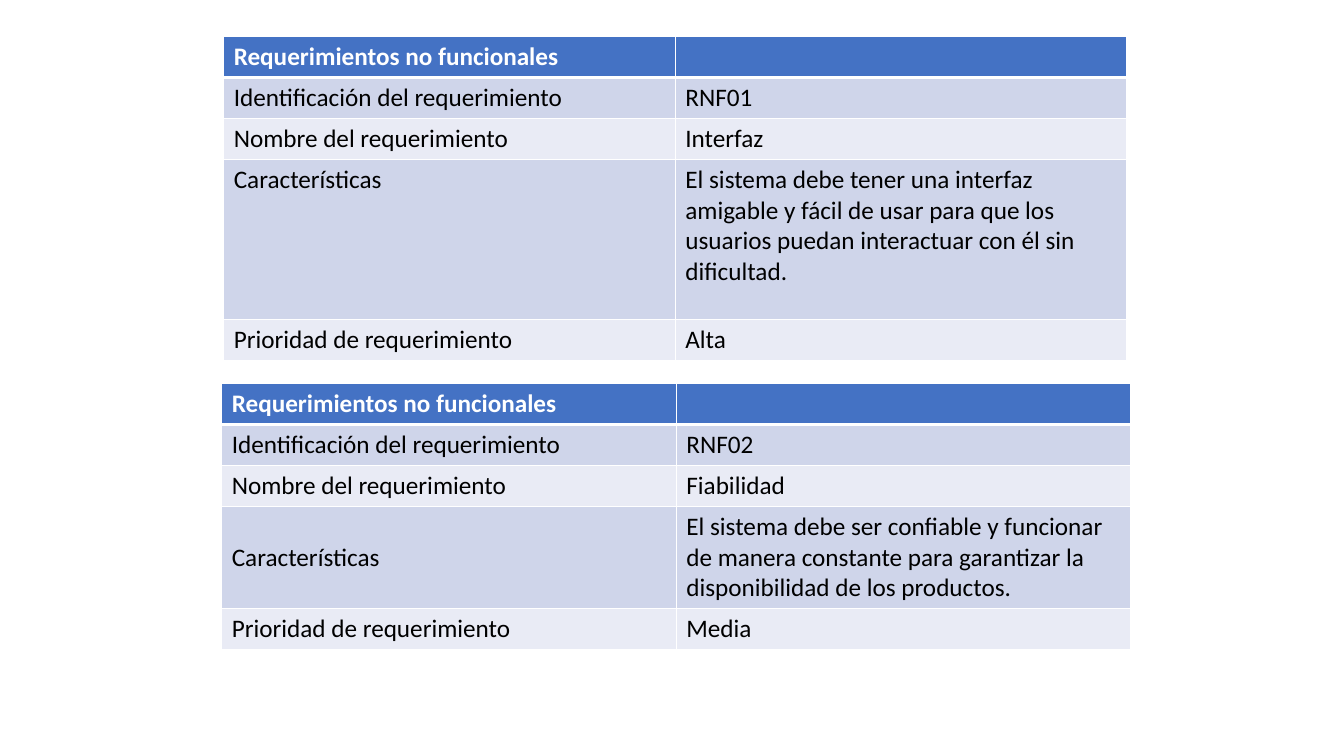
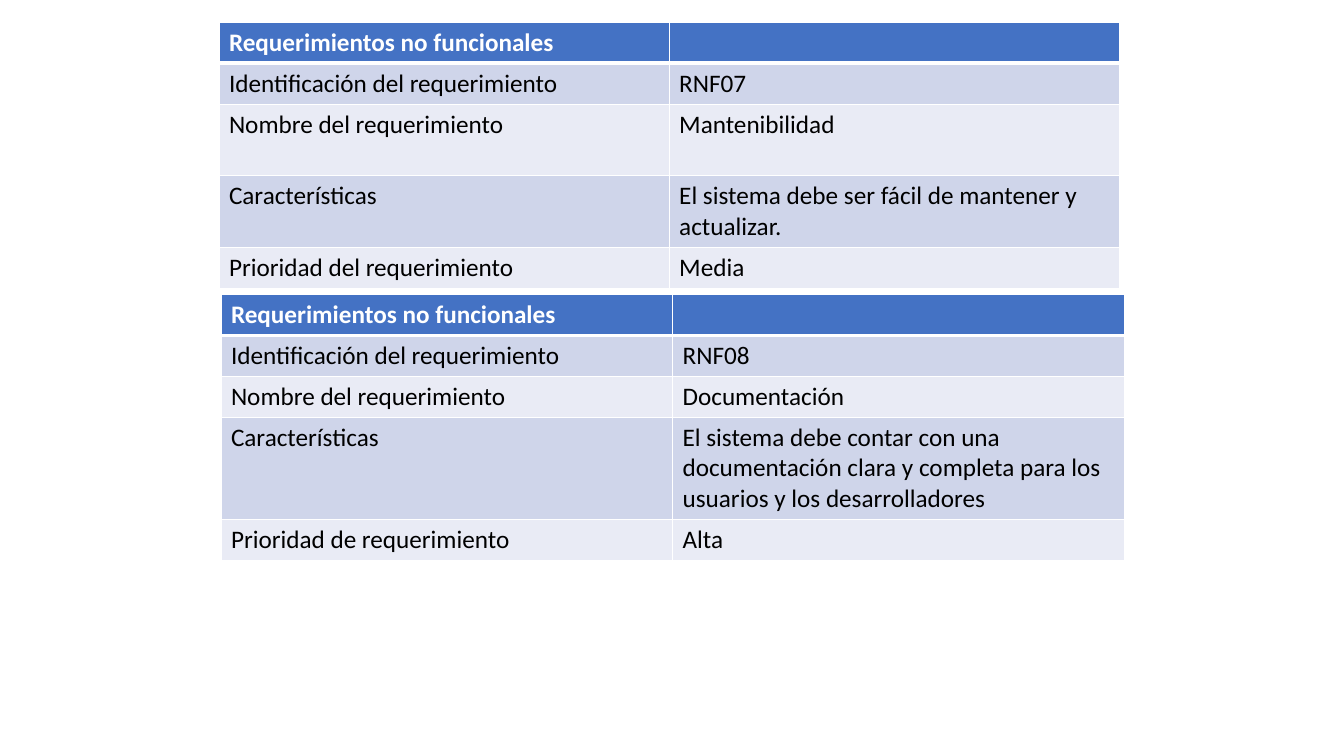
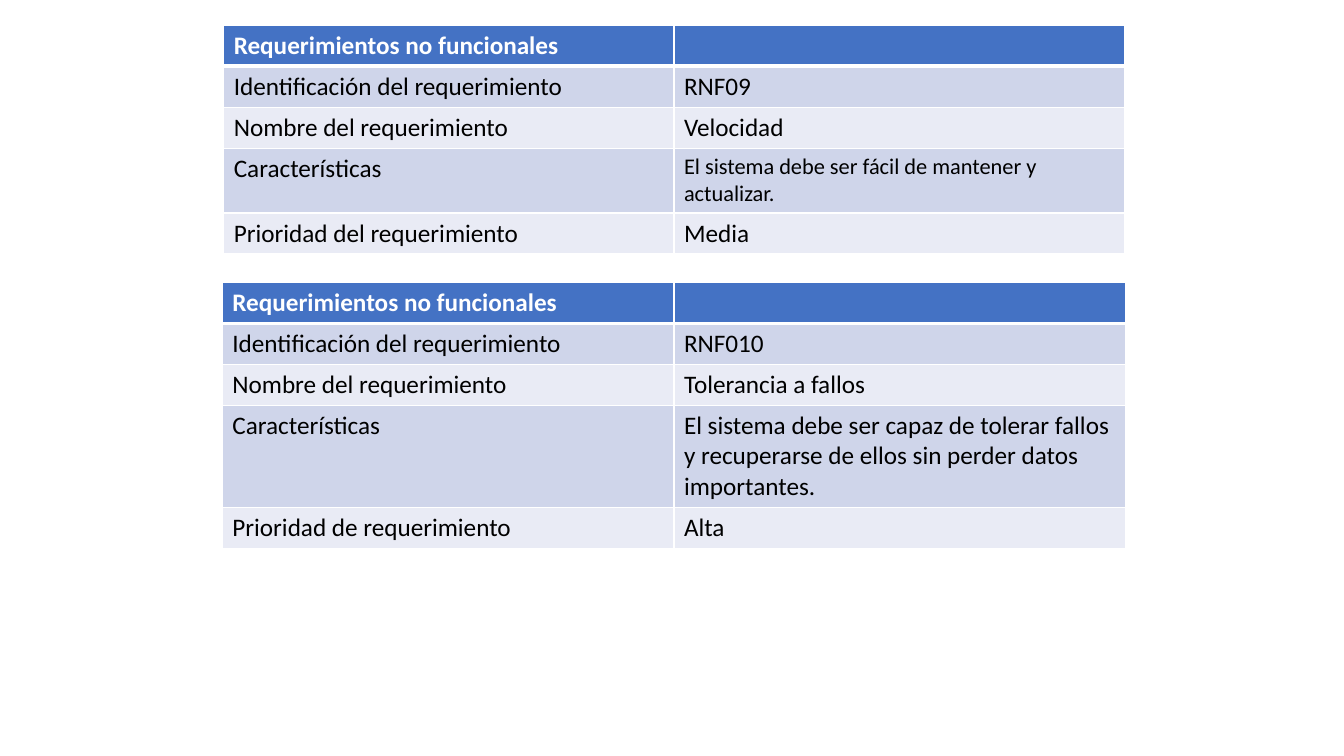
"""Builds three slides of non-functional requirement tables."""
from lxml.etree import SubElement
from pptx import Presentation
from pptx.dml.color import RGBColor
from pptx.enum.text import MSO_ANCHOR
from pptx.oxml.ns import qn
from pptx.util import Pt

COLORS = {"header": "4472C4", "odd": "CFD5EA", "even": "E9EBF5",
          "border": "FFFFFF", "header_text": "FFFFFF", "text": "000000"}
LINE_ROW = 29.2
TWO_LINE_ROW = 51.2
THREE_LINE_ROW = 73.1
DE = "Prioridad de requerimiento"
DEL = "Prioridad del requerimiento"
TOP, MIDDLE = MSO_ANCHOR.TOP, MSO_ANCHOR.MIDDLE


def add_border(cell, side, width):
    line = SubElement(cell._tc.get_or_add_tcPr(), qn(f"a:{side}"), w=str(Pt(width)))
    fill = SubElement(line, qn("a:solidFill"))
    SubElement(fill, qn("a:srgbClr"), val=COLORS["border"])


slides = [
    [
        dict(left=159.8, top=26.2, column=322.6, anchor=TOP, name_row=LINE_ROW,
             feature_row=114.3, feature_size=18, priority_label=DE,
             values=["RNF01", "Interfaz",
                     "El sistema debe tener una interfaz amigable y fácil de usar para que "
                     "los usuarios puedan interactuar con él sin dificultad.", "Alta"]),
        dict(left=158.4, top=274, column=324.7, anchor=MIDDLE, name_row=LINE_ROW,
             feature_row=THREE_LINE_ROW, feature_size=18, priority_label=DE,
             values=["RNF02", "Fiabilidad",
                     "El sistema debe ser confiable y funcionar de manera constante para "
                     "garantizar la disponibilidad de los productos.", "Media"]),
    ],
    [
        dict(left=156.4, top=16, column=321.6, anchor=TOP, name_row=TWO_LINE_ROW,
             feature_row=TWO_LINE_ROW, feature_size=18, priority_label=DEL,
             values=["RNF07", "Mantenibilidad",
                     "El sistema debe ser fácil de mantener y actualizar.", "Media"]),
        dict(left=157.8, top=210.4, column=322.6, anchor=TOP, name_row=LINE_ROW,
             feature_row=THREE_LINE_ROW, feature_size=18, priority_label=DE,
             values=["RNF08", "Documentación",
                     "El sistema debe contar con una documentación clara y completa para "
                     "los usuarios y los desarrolladores", "Alta"]),
    ],
    [
        dict(left=159.8, top=18.2, column=321.6, anchor=TOP, name_row=LINE_ROW,
             feature_row=46.3, feature_size=16, priority_label=DEL,
             values=["RNF09", "Velocidad",
                     "El sistema debe ser fácil de mantener y actualizar.", "Media"]),
        dict(left=158.8, top=201.8, column=322.6, anchor=TOP, name_row=LINE_ROW,
             feature_row=THREE_LINE_ROW, feature_size=18, priority_label=DE,
             values=["RNF010", "Tolerancia a fallos",
                     "El sistema debe ser capaz de tolerar fallos y recuperarse de ellos "
                     "sin perder datos importantes.", "Alta"]),
    ],
]

deck = Presentation()
deck.slide_width, deck.slide_height = Pt(960), Pt(540)

for requirements in slides:
    slide = deck.slides.add_slide(deck.slide_layouts[6])
    for requirement in requirements:
        labels = ["Requerimientos no funcionales", "Identificación del requerimiento",
                  "Nombre del requerimiento", "Características",
                  requirement["priority_label"]]
        heights = [LINE_ROW, LINE_ROW, requirement["name_row"],
                   requirement["feature_row"], LINE_ROW]
        table = slide.shapes.add_table(
            5, 2, Pt(requirement["left"]), Pt(requirement["top"]),
            Pt(2 * requirement["column"]), Pt(sum(heights))).table
        for column in table.columns:
            column.width = Pt(requirement["column"])
        rows = zip(labels, ["", *requirement["values"]], heights)
        for row, (label, value, height) in enumerate(rows):
            table.rows[row].height = Pt(height)
            band = "header" if row == 0 else "odd" if row % 2 else "even"
            for col, text in enumerate((label, value)):
                cell = table.cell(row, col)
                cell.vertical_anchor = requirement["anchor"]
                widths = {"lnL": 1, "lnR": 1, "lnT": 3 if row == 1 else 1,
                          "lnB": 3 if row == 0 else 1}
                for side, width in widths.items():
                    add_border(cell, side, width)
                cell.fill.solid()
                cell.fill.fore_color.rgb = RGBColor.from_string(COLORS[band])
                if not text:
                    continue
                run = cell.text_frame.paragraphs[0].add_run()
                run.text = text
                size = requirement["feature_size"] if (row, col) == (3, 1) else 18
                font_format = {"name": "Calibri", "size": Pt(size), "bold": row == 0}
                for attribute, setting in font_format.items():
                    setattr(run.font, attribute, setting)
                ink = "header_text" if row == 0 else "text"
                run.font.color.rgb = RGBColor.from_string(COLORS[ink])

deck.save("out.pptx")
